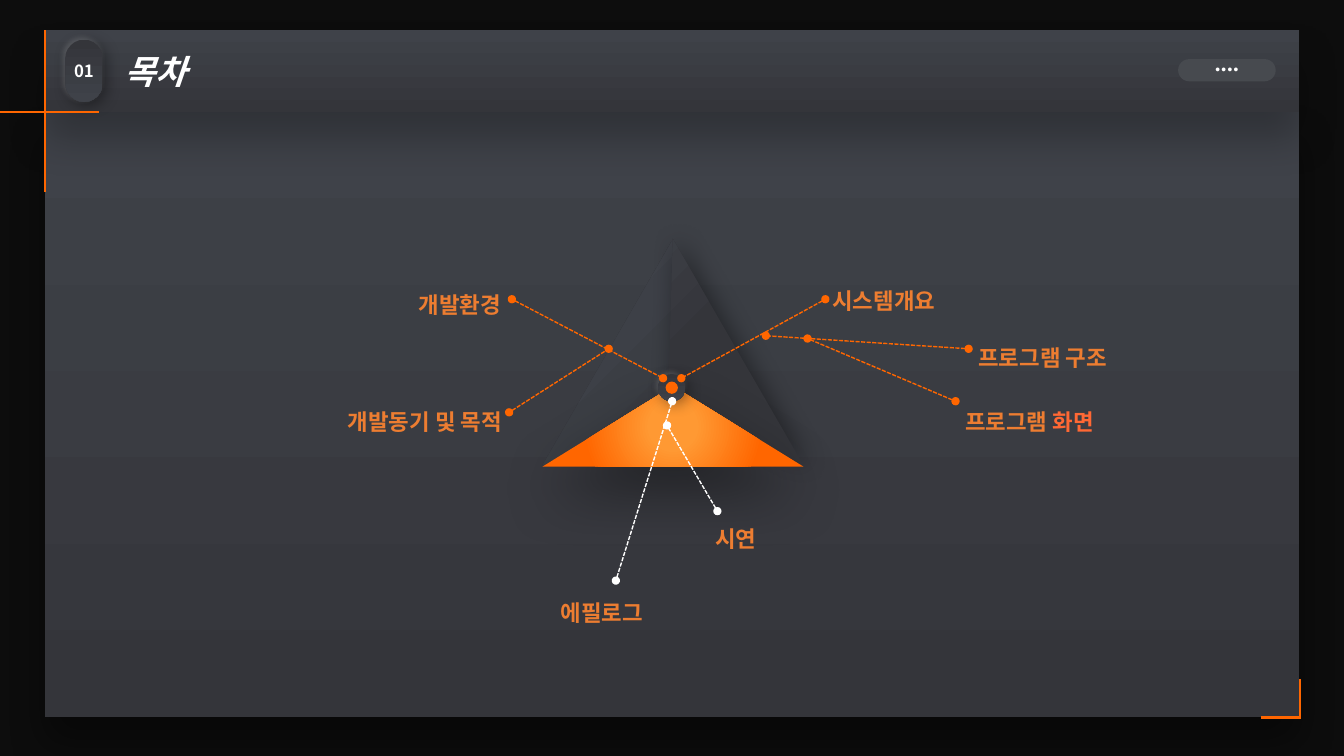
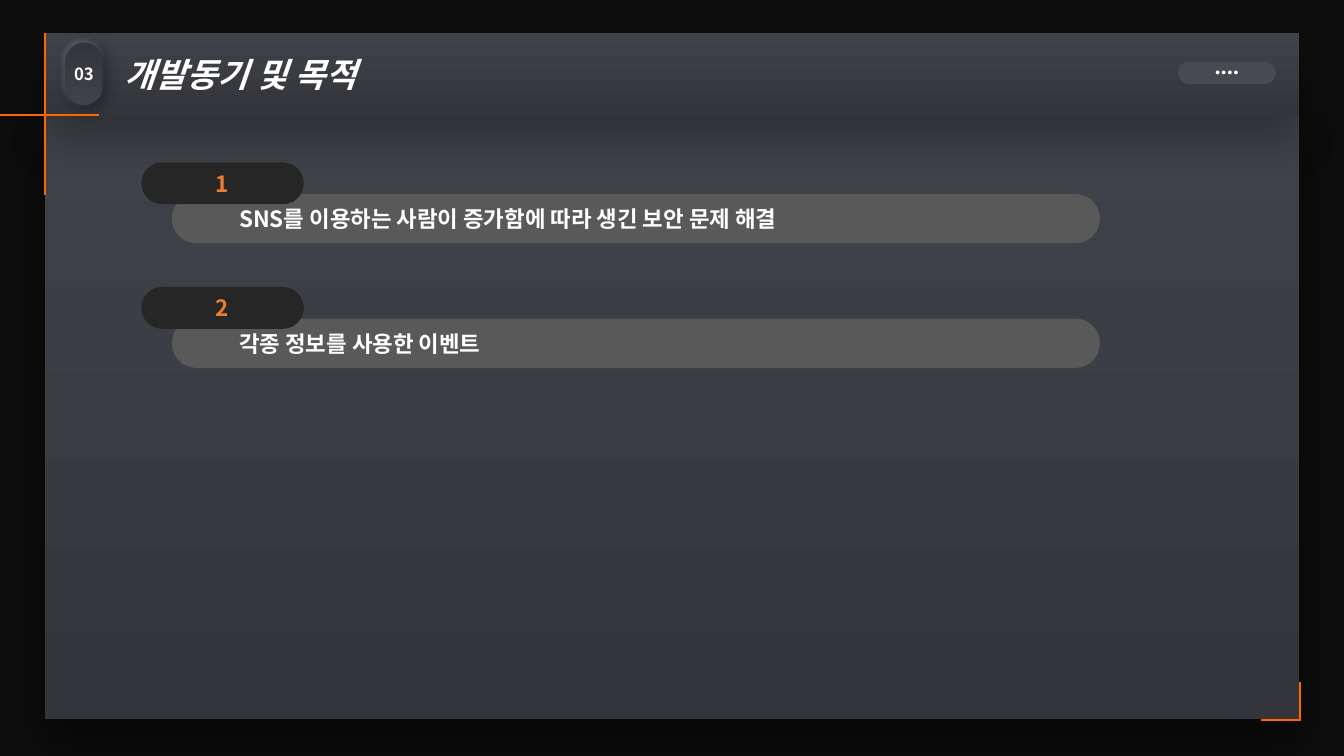
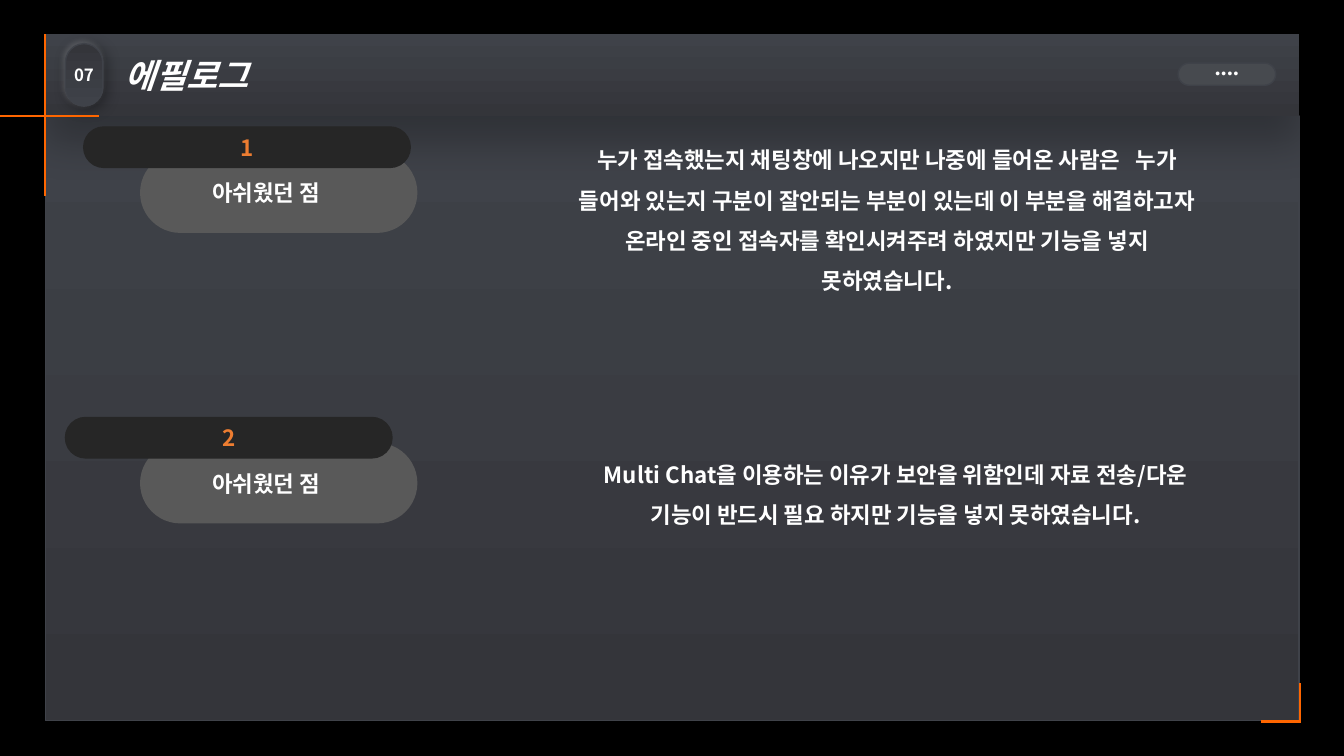
from lxml import etree
from pptx import Presentation
from pptx.dml.color import RGBColor
from pptx.enum.dml import MSO_LINE
from pptx.enum.shapes import MSO_CONNECTOR, MSO_SHAPE as SHAPE
from pptx.enum.text import MSO_ANCHOR as ANCHOR, PP_ALIGN as ALIGN
from pptx.oxml.ns import qn
from pptx.util import Cm, Pt

FONT = "Noto Sans CJK KR"
SLATE, COAL, ORANGE, AMBER = "3F4249", "34353A", "FF6600", "ED7D31"
WHITE, BLACK, GREY, INK, BUTTON = "FFFFFF", "000000", "595959", "262626", "474A4F"
DARKENING = ((0, SLATE), (100, COAL))
LIGHTENING = ((0, COAL), (100, SLATE))
CORNER, CENTRE = (0, 0, 100, 100), (50, 50, 50, 50)

PANEL_SHADOW = (BLACK, 40, 28, 19, 90)
HEADER_SHADOW = (BLACK, 23, 28, 19, 90)
RAISED_SHADOWS = ((BLACK, 40, 11, 3, 45), (WHITE, 15, 4, 2, 225))

PAGES = {
    "contents": dict(number="01", title="목차", top=0.76, background="0D0D0D"),
    "motives": dict(number="03", title="개발동기 및 목적", top=0.83, background="0D0D0D"),
    "epilogue": dict(number="07", title="에필로그", top=0.86, background=BLACK, outline=SLATE),
}

FRAME_LINES = [
    (1.14, 0, 1.14, 4.09),
    (0, 2.06, 2.49, 2.06),
    (31.78, 17.32, 32.77, 17.32),
    (32.77, 16.36, 32.77, 17.35),
]

TRIANGLES = [
    (12.9, 8.38, 120, ((20, SLATE), (100, COAL)), CORNER, None),
    (14.43, 8.36, 240, ((0, SLATE), (42, COAL)), CORNER, (BLACK, 40, 18, 3, 0)),
    (13.67, 9.73, 0, ((17, "FF9933"), (66, ORANGE)), CENTRE, (BLACK, 40, 43, 18, 90)),
]
HUB = (16.93, 9.77)

LABELS = [
    (20.73, 6.78, 3.84, ALIGN.LEFT, [("시스템개요", AMBER)]),
    (7.95, 9.83, 4.95, ALIGN.RIGHT, [("개발동기 및 목적", AMBER)]),
    (13.06, 14.63, 4.22, ALIGN.CENTER, [("에필로그", AMBER)]),
    (9.04, 6.88, 3.84, ALIGN.RIGHT, [("개발환경", AMBER)]),
    (24.41, 8.2, 4.47, ALIGN.LEFT, [("프로그램 구조", AMBER)]),
    (24.08, 9.83, 4.47, ALIGN.LEFT, [("프로그램", AMBER), (" 화면", "FF6834")]),
    (16.74, 12.78, 3.61, ALIGN.CENTER, [("시연", AMBER)]),
]

LEADERS = [
    (12.9, 7.54, 16.71, 9.53, ORANGE),
    (20.8, 7.54, 17.17, 9.53, ORANGE),
    (15.52, 14.63, 16.94, 10.11, WHITE),
    (24.41, 8.79, 19.3, 8.46, ORANGE),
    (12.83, 10.39, 15.34, 8.79, ORANGE),
    (24.08, 10.11, 20.35, 8.53, ORANGE),
    (18.08, 12.88, 16.81, 10.72, WHITE),
]

MOTIVES = [
    "SNS를 이용하는 사람이 증가함에 따라 생긴 보안 문제 해결",
    "각종 정보를 사용한 이벤트",
]
MOTIVE_TOP, MOTIVE_PITCH = 4.11, 3.14

REGRETS = [
    (3.2, 2.11, "아쉬웠던 점", (14.15, 3.23, 16.41, 4.32),
     "누가 접속했는지 채팅창에 나오지만 나중에 들어온 사람은   누가 들어와 있는지 "
     "구분이 잘안되는 부분이 있는데 이 부분을 해결하고자 온라인 중인 접속자를 "
     "확인시켜주려 하였지만 기능을 넣지 못하였습니다."),
    (10.52, 1.65, "아쉬웠던 점", (14.15, 11.15, 16.84, 2.31),
     "Multi Chat을 이용하는 이유가 보안을 위함인데 자료 전송/다운 기능이 "
     "반드시 필요 하지만 기능을 넣지 못하였습니다."),
]


def rgb(value):
    return RGBColor.from_string(value)


def add_xml(parent, tag, **attributes):
    values = {name: str(value) for name, value in attributes.items()}
    return etree.SubElement(parent, qn(tag), values)


def paint(shape, fill, focus=None):
    if isinstance(fill, str):
        shape.fill.solid()
        shape.fill.fore_color.rgb = rgb(fill)
        return
    shape.fill.gradient()
    shape.fill.gradient_angle = 270
    for stop, (position, color) in zip(shape.fill.gradient_stops, fill):
        stop.position = position / 100
        stop.color.rgb = rgb(color)
    if focus:
        gradient = shape._element.spPr.find(qn("a:gradFill"))
        gradient.remove(gradient.find(qn("a:lin")))
        circle = add_xml(gradient, "a:path", path="circle")
        edges = {side: value * 1000 for side, value in zip("ltrb", focus)}
        add_xml(circle, "a:fillToRect", **edges)


def cast_shadow(shape, color, alpha, blur, distance, angle):
    effects = shape._element.spPr.find(qn("a:effectLst"))
    shadow = add_xml(effects, "a:outerShdw", blurRad=Pt(blur), dist=Pt(distance),
                     dir=angle * 60000, algn="ctr", rotWithShape=0)
    tint = add_xml(shadow, "a:srgbClr", val=color)
    add_xml(tint, "a:alpha", val=alpha * 1000)


def add_figure(slide, kind, box, fill, outline=None, shadow=None, focus=None):
    shape = slide.shapes.add_shape(kind, *map(Cm, box))
    if kind == SHAPE.ROUNDED_RECTANGLE:
        shape.adjustments[0] = 0.5
    paint(shape, fill, focus)
    if outline:
        shape.line.color.rgb = rgb(outline)
        shape.line.width = Pt(1)
    else:
        shape.line.fill.background()
    shape.shadow.inherit = False
    if shadow:
        cast_shadow(shape, *shadow)
    return shape


def add_raised(slide, kind, box, outline=None):
    for shadow in RAISED_SHADOWS:
        shape = add_figure(slide, kind, box, LIGHTENING, outline, shadow)
    return shape


def write(shape, pieces, size=16, align=ALIGN.LEFT, bold=True, italic=False,
          anchor=ANCHOR.MIDDLE, wrap=True, spacing=None, indent=0):
    frame = shape.text_frame
    frame.word_wrap = wrap
    frame.vertical_anchor = anchor
    paragraph = frame.paragraphs[0]
    paragraph.alignment = align
    if spacing:
        paragraph.line_spacing = spacing
    if indent:
        properties = paragraph._p.get_or_add_pPr()
        properties.set("marL", str(Cm(indent)))
        properties.set("indent", "0")
    for text, color in pieces:
        run = paragraph.add_run()
        run.text = text
        font = run.font
        font.name, font.size, font.bold, font.italic = FONT, Pt(size), bold, italic
        font.color.rgb = rgb(color)
        add_xml(run._r.get_or_add_rPr(), "a:ea", typeface=FONT)


def add_note(slide, box, pieces, align):
    note = slide.shapes.add_textbox(*map(Cm, box))
    write(note, pieces, align=align, anchor=ANCHOR.TOP, spacing=1.5)


def add_line(slide, ends, color, width):
    connector = slide.shapes.add_connector(MSO_CONNECTOR.STRAIGHT, *map(Cm, ends))
    connector.line.color.rgb = rgb(color)
    connector.line.width = Pt(width)
    add_xml(connector._element.spPr, "a:effectLst")
    return connector


def add_leader(slide, ends, color):
    line = add_line(slide, ends, color, 1).line
    line.dash_style = MSO_LINE.SQUARE_DOT
    for end in ("a:headEnd", "a:tailEnd"):
        add_xml(line._get_or_add_ln(), end, type="oval")


def add_page(number, title, top, background, outline=None):
    slide = presentation.slides.add_slide(presentation.slide_layouts[6])
    slide.background.fill.solid()
    slide.background.fill.fore_color.rgb = rgb(background)
    add_figure(slide, SHAPE.RECTANGLE, (1.14, top + 2.06, 31.6, 15.24), DARKENING,
               outline, PANEL_SHADOW)
    header = add_figure(slide, SHAPE.RECTANGLE, (1.14, top, 31.6, 2.06), DARKENING,
                        shadow=HEADER_SHADOW)
    header.text_frame.margin_left = Cm(2.01)
    write(header, [(title, WHITE)], 24, italic=True)
    badge = add_raised(slide, SHAPE.ROUNDED_RECTANGLE, (1.65, top + 0.24, 0.94, 1.57), outline)
    write(badge, [(number, WHITE)], 12, ALIGN.CENTER, wrap=False)
    button = add_figure(slide, SHAPE.ROUNDED_RECTANGLE, (29.69, top + 0.73, 2.46, 0.56),
                        BUTTON, outline)
    write(button, [("●  ●  ●  ●", WHITE)], 3, ALIGN.CENTER, bold=False, wrap=False)
    for x1, y1, x2, y2 in FRAME_LINES:
        add_line(slide, (x1, top + y1, x2, top + y2), ORANGE, 1.5)
    return slide


def add_numbered_bar(slide, number, text, bar_box, tab_box):
    bar = add_figure(slide, SHAPE.ROUNDED_RECTANGLE, bar_box, GREY)
    write(bar, [(text, WHITE)], indent=1.27)
    tab = add_figure(slide, SHAPE.ROUNDED_RECTANGLE, tab_box, INK, INK)
    write(tab, [(str(number), AMBER)], align=ALIGN.CENTER)


def circle_box(center, diameter):
    x, y = center
    return x - diameter / 2, y - diameter / 2, diameter, diameter


def build_contents():
    slide = add_page(**PAGES["contents"])
    for left, top, rotation, stops, focus, shadow in TRIANGLES:
        triangle = add_figure(slide, SHAPE.ISOSCELES_TRIANGLE, (left, top, 6.58, 2.03),
                              stops, shadow=shadow, focus=focus)
        triangle.rotation = rotation
    add_raised(slide, SHAPE.OVAL, circle_box(HUB, 0.69))
    add_figure(slide, SHAPE.OVAL, circle_box(HUB, 0.31), ORANGE)
    for *ends, color in LEADERS:
        add_leader(slide, ends, color)
    for left, top, width, align, pieces in LABELS:
        add_note(slide, (left, top, width, 1.24), pieces, align)


def build_motives():
    slide = add_page(**PAGES["motives"])
    for index, text in enumerate(MOTIVES):
        top = MOTIVE_TOP + index * MOTIVE_PITCH
        add_numbered_bar(slide, index + 1, text, (4.33, top + 0.78, 23.39, 1.24),
                         (3.58, top, 4.06, 1.02))


def build_epilogue():
    slide = add_page(**PAGES["epilogue"])
    for number, (top, tab_left, heading, note_box, note) in enumerate(REGRETS, 1):
        add_numbered_bar(slide, number, heading, (3.53, top + 0.64, 6.99, 2.03),
                         (tab_left, top, 8.23, 1.02))
        add_note(slide, note_box, [(note, WHITE)], ALIGN.CENTER)


presentation = Presentation()
presentation.slide_width, presentation.slide_height = Cm(33.87), Cm(19.05)
build_contents()
build_motives()
build_epilogue()
presentation.save("out.pptx")
